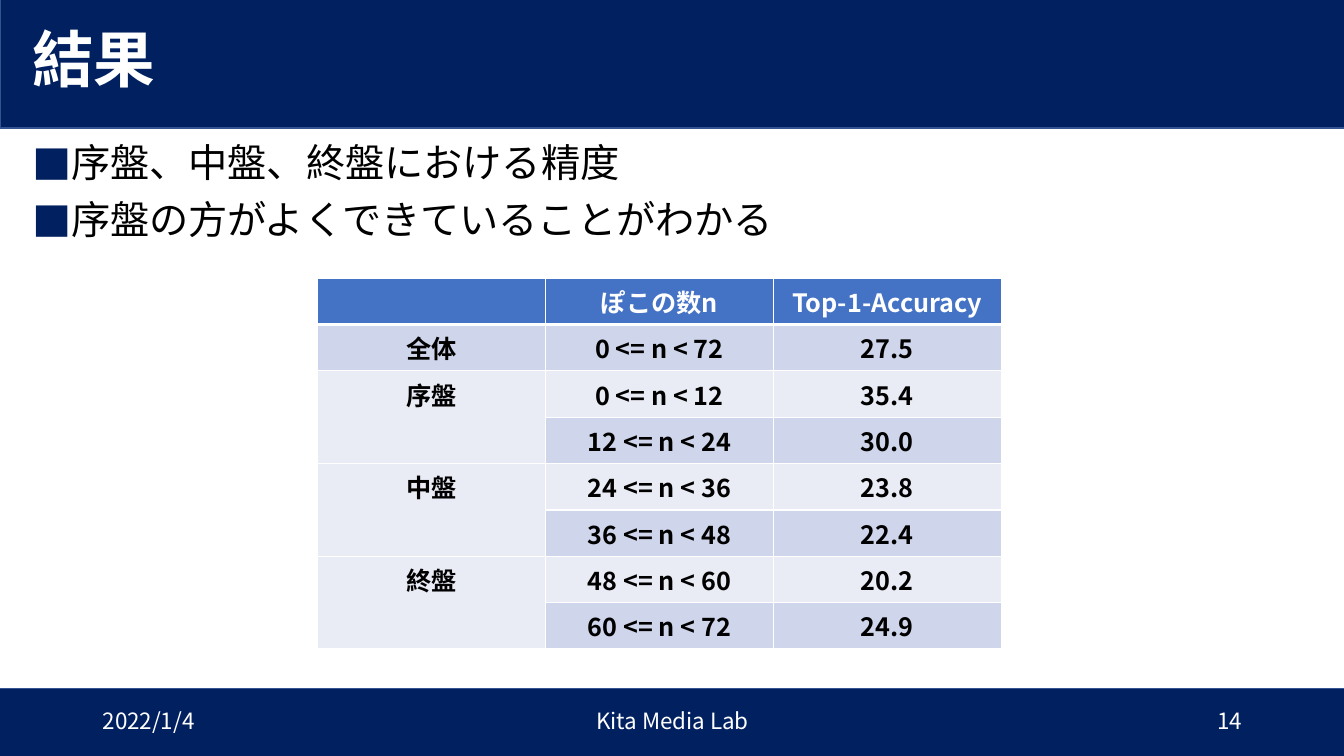
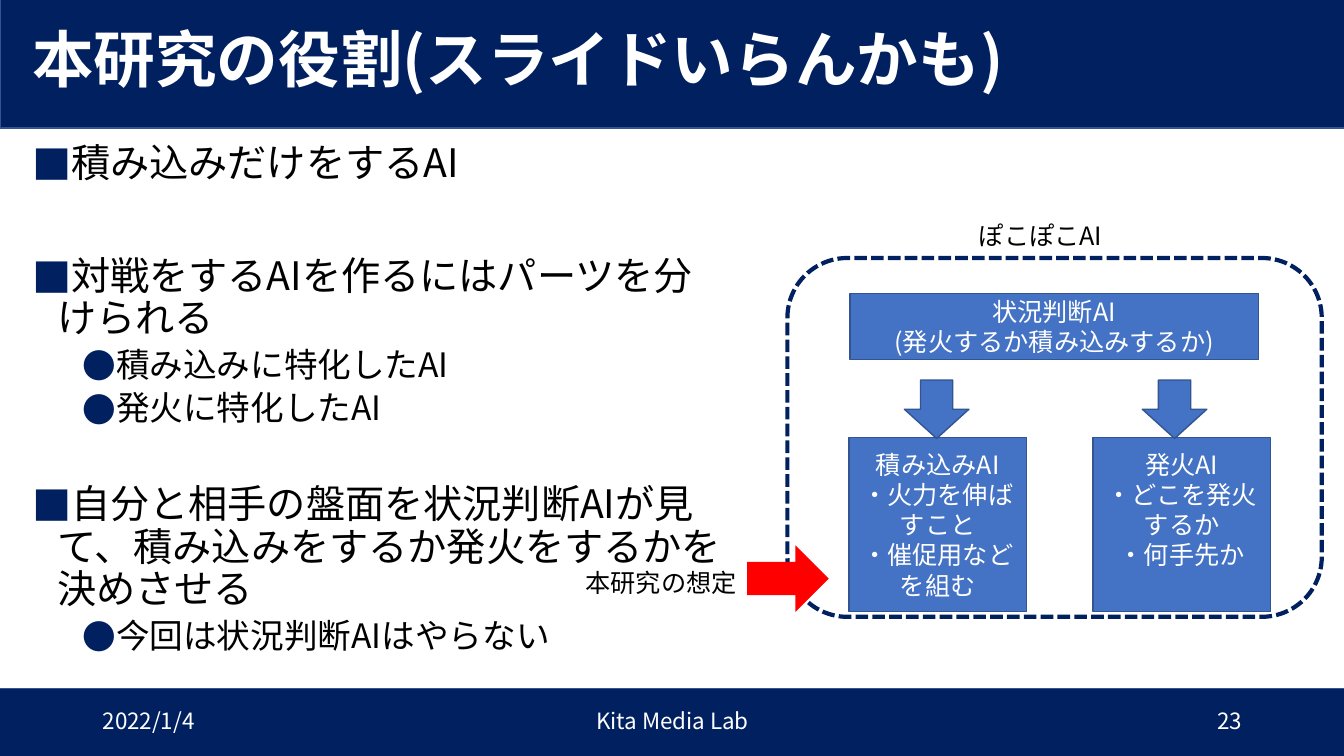
from pptx import Presentation
from pptx.dml.color import RGBColor
from pptx.enum.dml import MSO_LINE_DASH_STYLE as Dash
from pptx.enum.shapes import MSO_SHAPE as Shape
from pptx.enum.text import MSO_ANCHOR as Anchor, PP_ALIGN as Align
from pptx.oxml.ns import qn
from pptx.util import Inches, Pt
from lxml.etree import SubElement

# Shared look
FONT = "Noto Sans CJK JP"
NAVY = RGBColor(0x00, 0x20, 0x60)
EDGE = RGBColor(0x32, 0x54, 0x91)
BLUE = RGBColor(0x44, 0x72, 0xC4)
BAND_DARK = RGBColor(0xCF, 0xD5, 0xEA)
BAND_LIGHT = RGBColor(0xE9, 0xEB, 0xF5)
RED = RGBColor(0xFF, 0x00, 0x00)
WHITE = RGBColor(0xFF, 0xFF, 0xFF)
BLACK = RGBColor(0x00, 0x00, 0x00)

DATE = "2022/1/4"
LAB = "Kita Media Lab"

# Bullet levels: mark, text indent in inches, text size, space before
LEVELS = [("■", 0.25, 28, 10), ("●", 0.75, 24, 5)]
HANG = 0.25


def write(para, text, size=18, color=BLACK, bold=False, align=Align.LEFT):
    """Put one formatted span of text in a paragraph."""
    para.alignment = align
    span = para.add_run()
    span.text = text
    font = span.font
    font.size, font.bold, font.name = Pt(size), bold, FONT
    font.color.rgb = color
    SubElement(font._element, qn("a:ea"), typeface=FONT)


def write_lines(frame, lines, anchor=Anchor.TOP, **style):
    """Fill a text frame with one paragraph for each line."""
    frame.word_wrap = True
    frame.vertical_anchor = anchor
    for index, line in enumerate(lines):
        para = frame.add_paragraph() if index else frame.paragraphs[0]
        write(para, line, **style)


def add_text(page, box, lines, **style):
    label = page.shapes.add_textbox(*map(Inches, box))
    write_lines(label.text_frame, lines, **style)
    return label.text_frame


def add_block(page, kind, box, fill=BLUE, edge=EDGE, width=1):
    block = page.shapes.add_shape(kind, *map(Inches, box))
    block.shadow.inherit = False
    if fill is None:
        block.fill.background()
    else:
        block.fill.solid()
        block.fill.fore_color.rgb = fill
    if edge is None:
        block.line.fill.background()
    else:
        block.line.color.rgb = edge
        block.line.width = Pt(width)
    return block


def add_page(deck, title, number):
    """Add a page with the shared bands, title and footer."""
    page = deck.slides.add_slide(deck.slide_layouts[6])
    for box in [(-0.01, 6.83, 13.39, 0.73), (0, -0.02, 13.39, 1.29)]:
        add_block(page, Shape.RECTANGLE, box, NAVY)
    heading = add_text(page, (0.22, 0.09, 12.94, 1.07), [title], size=44,
                       color=WHITE, bold=True, anchor=Anchor.MIDDLE)
    heading.paragraphs[0].line_spacing = 0.9
    footers = [(0.92, 3, DATE, Align.LEFT), (4.42, 4.5, LAB, Align.CENTER),
               (9.42, 3, str(number), Align.RIGHT)]
    for left, width, text, align in footers:
        add_text(page, (left, 6.95, width, 0.4), [text], size=16,
                 color=WHITE, align=align, anchor=Anchor.MIDDLE)
    return page


def add_bullets(page, box, items):
    """Items are (level, text, extra points of space before)."""
    frame = page.shapes.add_textbox(*map(Inches, box)).text_frame
    frame.word_wrap = True
    for index, (level, text, extra) in enumerate(items):
        mark, indent, size, before = LEVELS[level]
        para = frame.add_paragraph() if index else frame.paragraphs[0]
        write(para, text, size=size)
        para.line_spacing = 0.9
        para.space_before = Pt(before + extra)
        props = para._p.get_or_add_pPr()
        props.set("marL", str(Inches(indent)))
        props.set("indent", str(-Inches(HANG)))
        color = SubElement(props, qn("a:buClr"))
        SubElement(color, qn("a:srgbClr"), val=str(NAVY))
        SubElement(props, qn("a:buFont"), typeface=FONT)
        SubElement(props, qn("a:buChar"), char=mark)


def set_borders(cell, bottom):
    """White cell borders, 1 point wide except at the bottom."""
    props = cell._tc.get_or_add_tcPr()
    sides = [("L", 1), ("R", 1), ("T", 1), ("B", bottom)]
    for index, (side, width) in enumerate(sides):
        line = SubElement(props, qn(f"a:ln{side}"), w=str(Pt(width)))
        fill = SubElement(line, qn("a:solidFill"))
        SubElement(fill, qn("a:srgbClr"), val=str(WHITE))
        props.insert(index, line)


def add_accuracy_table(page, left, top, col_width, row_height, rows):
    """An empty first cell below the header joins the cell above it."""
    count, columns = len(rows), len(rows[0])
    table = page.shapes.add_table(
        count, columns, Inches(left), Inches(top),
        Inches(col_width * columns), Inches(row_height * count)).table
    for row, texts in enumerate(rows):
        header = row == 0
        band = BLUE if header else BAND_DARK if row % 2 else BAND_LIGHT
        for column, text in enumerate(texts):
            cell = table.cell(row, column)
            cell.fill.solid()
            cell.fill.fore_color.rgb = band
            set_borders(cell, 3 if header else 1)
            if text:
                write(cell.text_frame.paragraphs[0], text, bold=True,
                      color=WHITE if header else BLACK, align=Align.CENTER)
        if not header and not texts[0]:
            table.cell(row - 1, 0).merge(table.cell(row, 0))


def add_ai_diagram(page, left, top, width, height):
    """Dashed frame with the judging AI above the two specialist AIs."""
    def place(x, y, w, h):
        return left + x, top + y, w, h

    outline = add_block(page, Shape.ROUNDED_RECTANGLE,
                        (left, top, width, height), None, NAVY, 3)
    outline.line.dash_style = Dash.SQUARE_DOT
    add_text(page, place(1.8, -0.42, 2.04, 0.4), ["ぽこぽこAI"])

    # Boxes: place, bottom inset, lines
    boxes = [
        (place(0.62, 0.35, 4.05, 0.66), 0.05,
         ["状況判断AI", "(発火するか積み込みするか)"]),
        (place(3.03, 1.78, 1.76, 1.73), 0.35,
         ["発火AI", "・どこを発火するか", "・何手先か"]),
        (place(0.61, 1.78, 1.76, 1.73), 0.05,
         ["積み込みAI", "・火力を伸ばすこと", "・催促用などを組む"]),
    ]
    for box, inset, lines in boxes:
        frame = add_block(page, Shape.RECTANGLE, box).text_frame
        frame.margin_bottom = Inches(inset)
        write_lines(frame, lines, anchor=Anchor.MIDDLE, color=WHITE,
                    align=Align.CENTER)
    for x in (1.16, 3.52):
        add_block(page, Shape.DOWN_ARROW, place(x, 1.21, 0.64, 0.58))

    # Pointer to the part this study covers
    add_block(page, Shape.RIGHT_ARROW, place(-0.4, 2.85, 0.81, 0.66),
              RED, None)
    add_text(page, place(-2.1, 3.02, 2.04, 0.4), ["本研究の想定"])


def add_results_page(deck):
    page = add_page(deck, "結果", 14)
    add_bullets(page, (0.22, 1.38, 12.94, 5.34), [
        (0, "序盤、中盤、終盤における精度", 0),
        (0, "序盤の方がよくできていることがわかる", 0),
    ])
    add_accuracy_table(page, 3.15, 2.76, 2.26, 0.46, [
        ("", "ぽこの数n", "Top-1-Accuracy"),
        ("全体", "0 <= n < 72", "27.5"),
        ("序盤", "0 <= n < 12", "35.4"),
        ("", "12 <= n < 24", "30.0"),
        ("中盤", "24 <= n < 36", "23.8"),
        ("", "36 <= n < 48", "22.4"),
        ("終盤", "48 <= n < 60", "20.2"),
        ("", "60 <= n < 72", "24.9"),
    ])


def add_role_page(deck):
    page = add_page(deck, "本研究の役割(スライドいらんかも)", 23)
    add_bullets(page, (0.22, 1.38, 7.06, 5.34), [
        (0, "積み込みだけをするAI", 0),
        (0, "対戦をするAIを作るにはパーツを分けられる", 40),
        (1, "積み込みに特化したAI", 0),
        (1, "発火に特化したAI", 0),
        (0, "自分と相手の盤面を状況判断AIが見て、"
            "積み込みをするか発火をするかを決めさせる", 31),
        (1, "今回は状況判断AIはやらない", 0),
    ])
    add_ai_diagram(page, 7.81, 2.56, 5.3, 3.56)


def main():
    deck = Presentation()
    deck.slide_width, deck.slide_height = Inches(13.33), Inches(7.5)
    add_results_page(deck)
    add_role_page(deck)
    deck.save("out.pptx")


if __name__ == "__main__":
    main()
